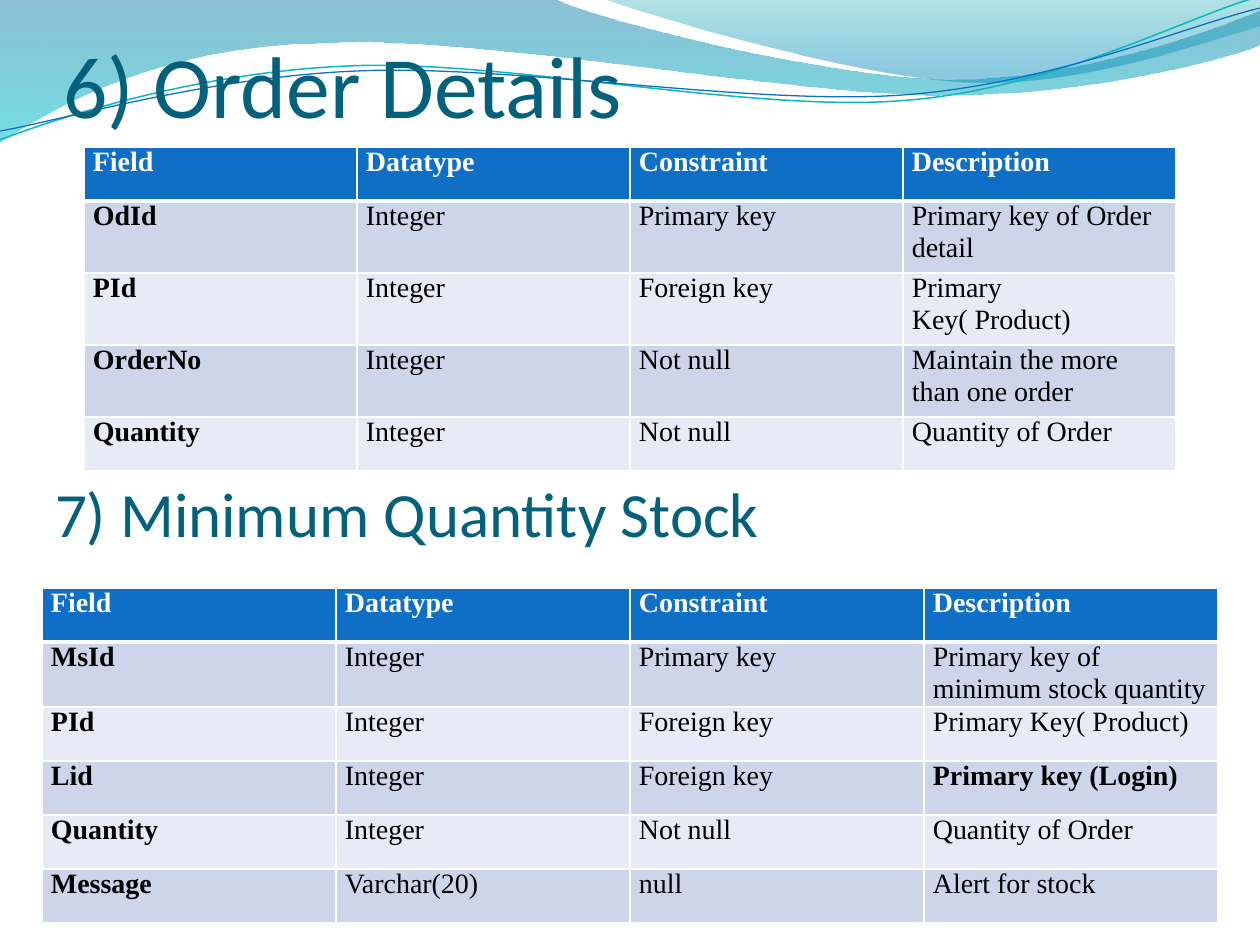
import math
import pptx
import pptx.util
import pptx.dml.color
import pptx.enum.text
import pptx.oxml
import pptx.oxml.ns
import lxml.etree

PX = 914400 / 126
COLORS = {
    "title": "04617B", "header": "0F6FC6", "band": "CCD5EA", "light": "E7EBF5",
    "white": "FFFFFF", "black": "000000", "teal line": "0AB8BF", "blue line": "0F6FC6",
    "deep blue": "0074A1", "cyan": "00C6CF", "teal": "00A1A9", "sky": "008BBF",
}
qn = pptx.oxml.ns.qn


def color(name):
    return pptx.dml.color.RGBColor.from_string(COLORS[name])


def write(frame, text, size, font, ink, bold=False, after=None):
    paragraph = frame.paragraphs[0]
    paragraph.alignment = pptx.enum.text.PP_ALIGN.LEFT
    paragraph.space_before = pptx.util.Pt(0)
    if after:
        paragraph.space_after = pptx.util.Pt(after)
    run = paragraph.add_run()
    run.text = text
    run.font.size = pptx.util.Pt(size)
    run.font.name = font
    run.font.bold = bold
    run.font.color.rgb = color(ink)
    return paragraph


presentation = pptx.Presentation()
presentation.slide_width = pptx.util.Inches(10)
presentation.slide_height = pptx.util.Inches(7.5)
slide = presentation.slides.add_slide(presentation.slide_layouts[1])

# Waves: each step is one point (straight) or three points (cubic curve)
waves = [
    {"start": (0, 0), "stops": [("deep blue", 0, 45), ("cyan", 1, 55)],
     "steps": [[(554, -1)], [(600, 21), (837, 79), (955, 79)],
               [(1075, 79), (1207, 33), (1260, 11)], [(1261, 45)],
               [(1239, 55), (1096, 96), (940, 95)],
               [(784, 95), (481, 35), (324, 43)],
               [(163, 45), (58, 105), (-1, 142)]]},
    {"start": (604, -1), "stops": [("teal", 0, 30), ("sky", 0.8, 45)],
     "steps": [[(641, 14), (859, 78), (969, 82)],
               [(1079, 87), (1211, 40), (1260, 26)], [(1260, 0)]]},
    {"start": (0, 140), "line": ("teal line", 0.85), "center": (629, 72),
     "steps": [[(60, 117), (199, 72), (349, 66)],
               [(498, 59), (747, 112), (898, 101)],
               [(1049, 91), (1182, 19), (1257, -3)]]},
    {"start": (0, 131), "line": ("blue line", 0.75), "center": (629, 74),
     "steps": [[(59, 121), (207, 77), (357, 71)],
               [(508, 64), (752, 106), (903, 95)],
               [(1053, 84), (1185, 26), (1260, 8)]]},
]
TILT = 2.7
for wave in waves:
    points = [wave["start"]] + [point for step in wave["steps"] for point in step]
    if "line" in wave:
        # Level the curve here; the shape's rotation tilts it back
        center_x, center_y = wave["center"]
        cosine, sine = math.cos(math.radians(TILT)), math.sin(math.radians(TILT))
        points = [(center_x + (x - center_x) * cosine - (y - center_y) * sine,
                   center_y + (x - center_x) * sine + (y - center_y) * cosine) for x, y in points]
    points = [(round(x * PX), round(y * PX)) for x, y in points]
    builder = slide.shapes.build_freeform(*points[0])
    builder.add_line_segments(points[1:], close="stops" in wave)
    shape = builder.convert_to_shape()
    shape.shadow.inherit = False
    # Join each three points of a curve into one cubic segment
    segments = iter(list(shape.element.spPr.iter(qn("a:lnTo"))))
    for step in wave["steps"]:
        parts = [next(segments) for point in step]
        if len(parts) == 3:
            curve = lxml.etree.Element(qn("a:cubicBezTo"))
            parts[0].addprevious(curve)
            for part in parts:
                curve.append(part[0])
                part.getparent().remove(part)
    if "line" in wave:
        shape.rotation = 360 - TILT
        shape.fill.background()
        shape.line.color.rgb = color(wave["line"][0])
        shape.line.width = pptx.util.Pt(wave["line"][1])
        continue
    shape.line.fill.background()
    shape.fill.gradient()
    shape.fill.gradient_angle = 270
    for stop, (name, position, opacity) in zip(shape.fill.gradient_stops, wave["stops"]):
        stop.color.rgb = color(name)
        stop.position = position
    # Transparency of the gradient stops
    for tint, (name, position, opacity) in zip(
            shape.element.spPr.iter(qn("a:srgbClr")), wave["stops"]):
        lxml.etree.SubElement(tint, qn("a:alpha"), val=str(opacity * 1000))

# Headings, brought in front of the waves
headings = [
    (slide.shapes.title, "6) Order Details", 50, (63, 21, 1134, 115), (0, 6, 0, 0),
     pptx.enum.text.MSO_ANCHOR.BOTTOM),
    (slide.placeholders[1], "7) Minimum Quantity Stock", 36, (42, 147, 1176, 725),
     (13, 328, 13, 6), pptx.enum.text.MSO_ANCHOR.TOP),
]
for shape, text, size, box, insets, anchor in headings:
    shape.element.getparent().append(shape.element)
    shape.left, shape.top, shape.width, shape.height = [round(length * PX) for length in box]
    frame = shape.text_frame
    frame.word_wrap = True
    frame.auto_size = pptx.enum.text.MSO_AUTO_SIZE.NONE
    frame.vertical_anchor = anchor
    (frame.margin_left, frame.margin_top,
     frame.margin_right, frame.margin_bottom) = [round(inset * PX) for inset in insets]
    paragraph = write(frame, text, size, "Calibri", "title")
    properties = paragraph._p.get_or_add_pPr()
    properties.set("marL", "0")
    properties.set("indent", "0")
    lxml.etree.SubElement(properties, qn("a:buNone"))

# Tables: place, column width, row heights, rows
header = ("Field", "Datatype", "Constraint", "Description")
tables = [
    (84, 147, 273, [54, 72, 72, 72, 54], [
        header,
        ("OdId", "Integer", "Primary key", "Primary key of Order detail"),
        ("PId", "Integer", "Foreign key", "Primary Key( Product)"),
        ("OrderNo", "Integer", "Not null", "Maintain the more than one order"),
        ("Quantity", "Integer", "Not null", "Quantity of Order")]),
    (42, 588, 294, [54, 65, 54, 54, 54, 54], [
        header,
        ("MsId", "Integer", "Primary key", "Primary key of minimum stock quantity"),
        ("PId", "Integer", "Foreign key", "Primary Key( Product)"),
        ("Lid", "Integer", "Foreign key", "Primary key (Login)"),
        ("Quantity", "Integer", "Not null", "Quantity of Order"),
        ("Message", "Varchar(20)", "null", "Alert for stock")]),
]
for left, top, column_width, heights, rows in tables:
    table = slide.shapes.add_table(
        len(rows), len(header), round(left * PX), round(top * PX),
        round(column_width * len(header) * PX), round(sum(heights) * PX)).table
    for column in table.columns:
        column.width = round(column_width * PX)
    for row_index, (height, row) in enumerate(zip(heights, rows)):
        table.rows[row_index].height = round(height * PX)
        background = "header" if row_index == 0 else ("light", "band")[row_index % 2]
        for column_index, text in enumerate(row):
            cell = table.cell(row_index, column_index)
            cell.margin_left = cell.margin_right = round(9 * PX)
            cell.margin_top = cell.margin_bottom = 0
            # White borders, thick below the header
            for side in ("lnL", "lnR", "lnT", "lnB"):
                thick = (row_index, side) in ((0, "lnB"), (1, "lnT"))
                border = lxml.etree.SubElement(
                    cell._tc.get_or_add_tcPr(), qn(f"a:{side}"),
                    w=str(pptx.util.Pt(3 if thick else 1)))
                fill = lxml.etree.SubElement(border, qn("a:solidFill"))
                lxml.etree.SubElement(fill, qn("a:srgbClr"), val=COLORS["white"])
            cell.fill.solid()
            cell.fill.fore_color.rgb = color(background)
            write(cell.text_frame, text, 16, "Times New Roman",
                  "white" if row_index == 0 else "black",
                  bold=row_index == 0 or column_index == 0 or text == "Primary key (Login)",
                  after=10 if row[0] in ("PId", "Lid") else None)

presentation.save("out.pptx")
